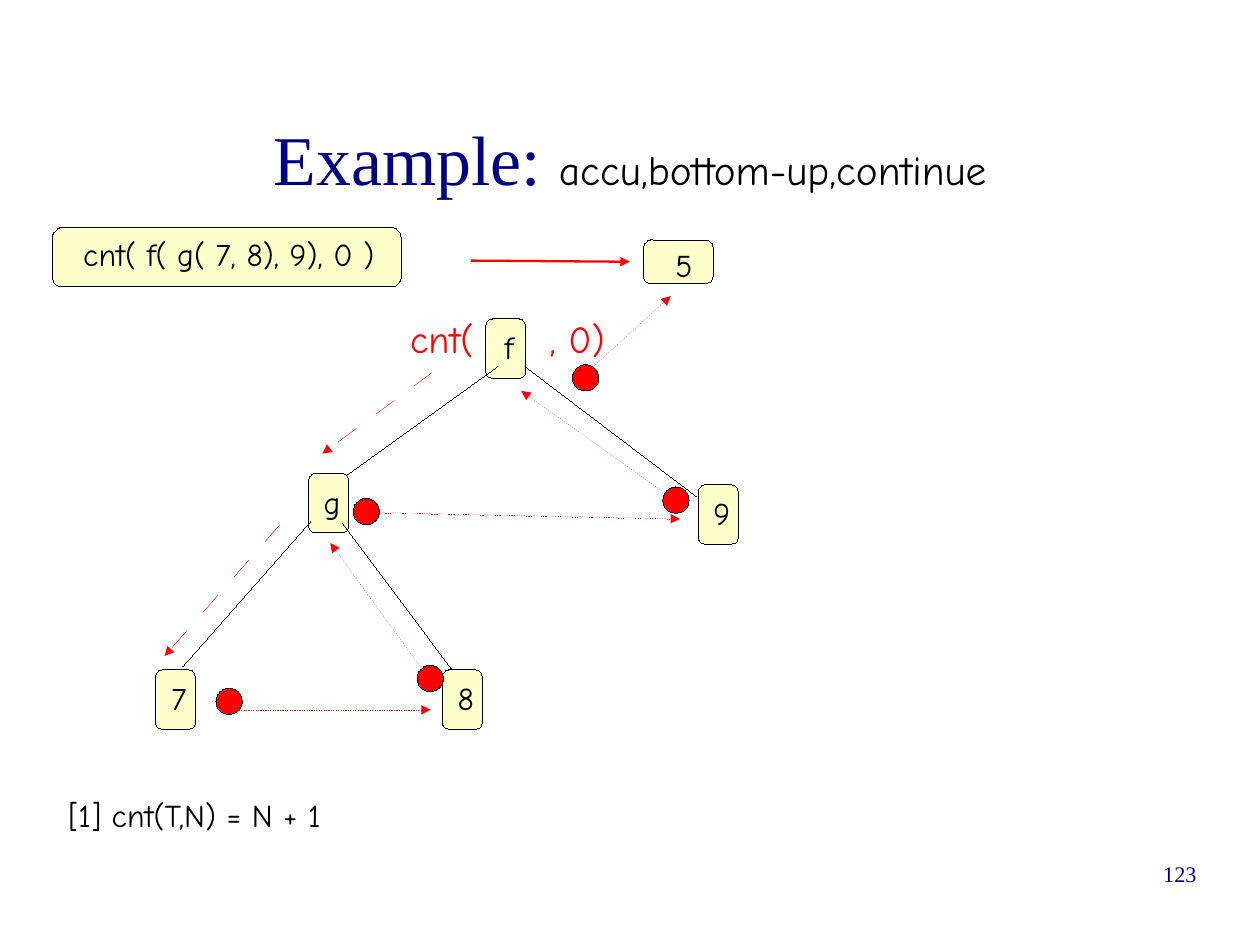
import pptx
import pptx.util
import pptx.oxml
import pptx.oxml.ns
from lxml import etree
from pptx.dml.color import RGBColor
from pptx.enum.dml import MSO_LINE
from pptx.enum.shapes import MSO_CONNECTOR, MSO_SHAPE
from pptx.enum.text import MSO_ANCHOR, PP_ALIGN
from pptx.util import Emu, Inches, Pt

BLACK = RGBColor(0x00, 0x00, 0x00)
RED = RGBColor(0xFF, 0x00, 0x00)
NAVY = RGBColor(0x00, 0x00, 0x80)
CREAM = RGBColor(0xFF, 0xFF, 0xCC)
HAND = "Comic Neue"
SERIF = "Times New Roman"
SLIDE_WIDTH, SLIDE_HEIGHT = Emu(10080625), Emu(7559675)
HAIRLINE = 0
FINE = 0.25
NODE_WIDTH, NODE_HEIGHT = 0.35, 0.52
DOT_SIZE = 0.23

NODES = [("f", 4.25, 2.79), ("g", 2.7, 4.14), ("7", 1.36, 5.86),
         ("8", 3.87, 5.86), ("9", 6.11, 4.24)]
BRANCHES = [(4.35, 3.21, 3.03, 4.16), (2.72, 4.56, 1.6, 5.83),
            (3, 4.58, 3.95, 5.85), (4.6, 3.21, 6.09, 4.34)]
DESCENTS = [(3.78, 3.26, 2.82, 3.97), (2.45, 4.59, 1.44, 5.74)]
VISITS = [(1.94, 6.21, 3.77, 6.21), (3.77, 5.96, 2.89, 4.75),
          (3.16, 4.48, 5.95, 4.54), (5.98, 4.43, 4.56, 3.42),
          (5.1, 3.29, 5.87, 2.59)]
COUNT_DOTS = [(3.65, 5.82), (3.09, 4.36), (5.8, 4.26), (5.01, 3.19), (1.89, 6.02)]


def set_font(font, size, name, color):
    font.size = Pt(size)
    font.name = name
    font.color.rgb = color


def add_box(slide, left, top, width, height, margins=(0.1, 0.05)):
    box = slide.shapes.add_textbox(Inches(left), Inches(top), Inches(width), Inches(height))
    frame = box.text_frame
    frame.word_wrap = True
    frame.margin_left = frame.margin_right = Inches(margins[0])
    frame.margin_top = frame.margin_bottom = Inches(margins[1])
    return frame


def add_text(slide, text, left, top, width, height, size=20, name=HAND,
             color=BLACK, align=PP_ALIGN.LEFT, margins=(0.1, 0.05)):
    para = add_box(slide, left, top, width, height, margins).paragraphs[0]
    para.text = text
    para.alignment = align
    set_font(para.font, size, name, color)


def add_title(slide):
    frame = add_box(slide, 0.81, 0.69, 9.41, 1.38, (0, 0))
    frame.vertical_anchor = MSO_ANCHOR.MIDDLE
    para = frame.paragraphs[0]
    para.alignment = PP_ALIGN.CENTER
    for text, size, name, color in [("Example: ", 44, SERIF, NAVY),
                                    ("accu,bottom-up,continue", 26, HAND, BLACK)]:
        span = para.add_run()
        span.text = text
        set_font(span.font, size, name, color)


def add_call_around_root(slide):
    """Write the call with a tab that leaves room for the root node."""
    para = add_box(slide, 3.49, 2.71, 2, 0.56).paragraphs[0]
    tabs = etree.SubElement(para._p.get_or_add_pPr(), pptx.oxml.ns.qn("a:tabLst"))
    etree.SubElement(tabs, pptx.oxml.ns.qn("a:tab"), pos=str(Inches(1.22)), algn="l")
    para.text = "cnt(\t, 0)"
    set_font(para.font, 24, HAND, RED)


def set_outline(shape, color, width):
    """Drop the theme style, whose line width would replace a hairline."""
    shape._element.remove(shape._element.find(pptx.oxml.ns.qn("p:style")))
    shape.line.color.rgb = color
    shape.line.width = Pt(width)


def add_outlined(slide, kind, left, top, width, height, fill):
    shape = slide.shapes.add_shape(kind, Inches(left), Inches(top),
                                   Inches(width), Inches(height))
    shape.shadow.inherit = False
    shape.fill.solid()
    shape.fill.fore_color.rgb = fill
    set_outline(shape, BLACK, HAIRLINE)


def add_node(slide, label, left, top):
    add_outlined(slide, MSO_SHAPE.ROUNDED_RECTANGLE, left, top,
                 NODE_WIDTH, NODE_HEIGHT, CREAM)
    add_text(slide, label, left + 0.02, top + 0.03, 0.37, 0.62, align=PP_ALIGN.CENTER)


def add_line(slide, ends, color, width):
    line = slide.shapes.add_connector(MSO_CONNECTOR.STRAIGHT, *map(Inches, ends))
    set_outline(line, color, width)
    etree.SubElement(line._element.spPr, pptx.oxml.ns.qn("a:effectLst"))
    return line


def add_arrow(slide, ends, width, dash=None, long_dashes=False):
    arrow = add_line(slide, ends, RED, width)
    if dash is not None:
        arrow.line.dash_style = dash
    outline = arrow.line._get_or_add_ln()
    if long_dashes:
        pattern = etree.SubElement(outline, pptx.oxml.ns.qn("a:custDash"))
        etree.SubElement(pattern, pptx.oxml.ns.qn("a:ds"), d="5600000", sp="6000000")
    etree.SubElement(outline, pptx.oxml.ns.qn("a:tailEnd"), type="triangle")


def main():
    deck = pptx.Presentation()
    deck.slide_width = SLIDE_WIDTH
    deck.slide_height = SLIDE_HEIGHT
    slide = deck.slides.add_slide(deck.slide_layouts[6])

    add_title(slide)
    add_outlined(slide, MSO_SHAPE.ROUNDED_RECTANGLE, 0.46, 1.99, 3.05, 0.52, CREAM)
    add_text(slide, "cnt( f( g( 7, 8), 9), 0 )", 0.63, 2, 3.26, 0.62)
    add_arrow(slide, (4.12, 2.28, 5.51, 2.29), 1.45)

    for label, left, top in NODES:
        add_node(slide, label, left, top)
    for ends in BRANCHES:
        add_line(slide, ends, BLACK, HAIRLINE)
    add_call_around_root(slide)
    for ends in DESCENTS:
        add_arrow(slide, ends, FINE, long_dashes=True)
    for ends in VISITS:
        add_arrow(slide, ends, HAIRLINE, dash=MSO_LINE.ROUND_DOT)
    add_outlined(slide, MSO_SHAPE.ROUNDED_RECTANGLE, 5.63, 2.1, 0.61, 0.38, CREAM)
    add_text(slide, "5", 5.81, 2.1, 0.41, 0.5)
    for left, top in COUNT_DOTS:
        add_outlined(slide, MSO_SHAPE.OVAL, left, top, DOT_SIZE, DOT_SIZE, RED)

    add_text(slide, "[1] cnt(T,N) = N + 1", 0.5, 6.91, 2.76, 0.49)
    add_text(slide, "123", 7.9, 7.53, 2.57, 0.57, size=14, name=SERIF,
             color=NAVY, align=PP_ALIGN.RIGHT, margins=(0, 0))
    deck.save("out.pptx")


if __name__ == "__main__":
    main()
